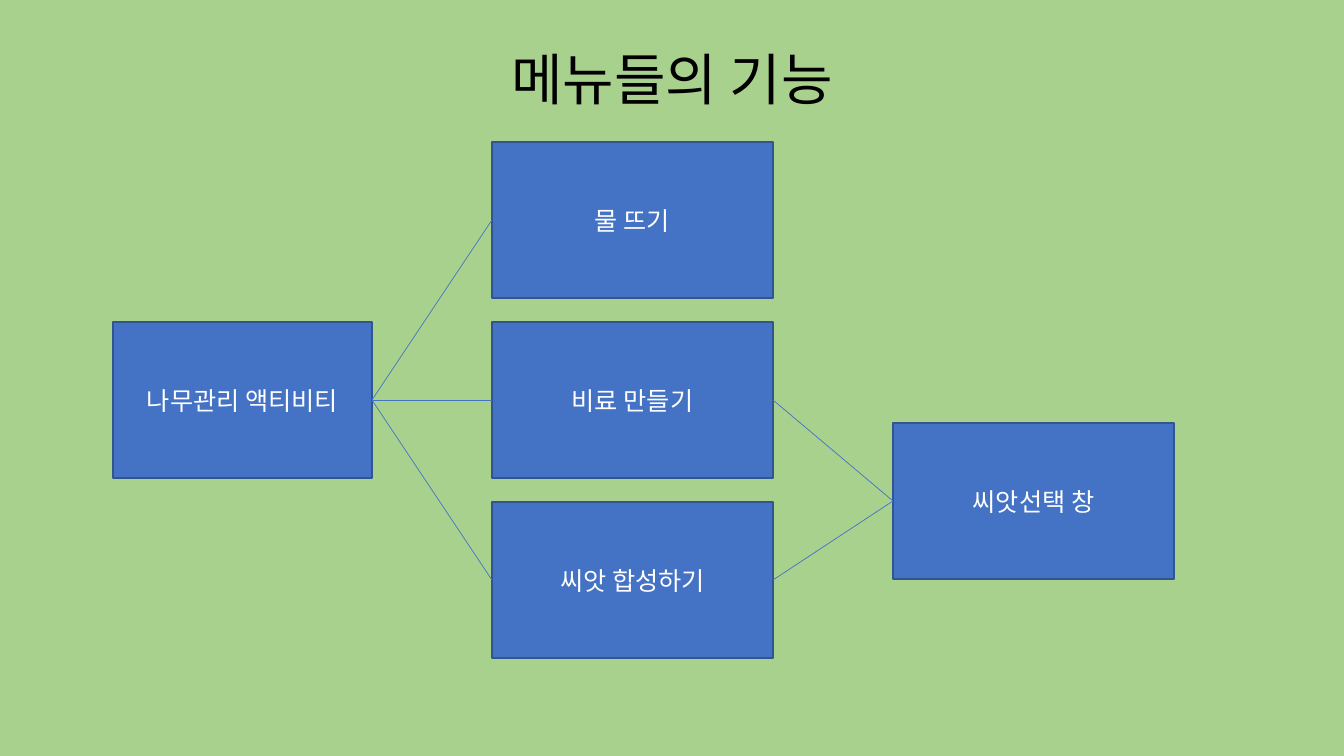
from lxml import etree
from pptx import Presentation
from pptx import util as u
from pptx.dml.color import RGBColor
from pptx.enum import shapes, text
from pptx.oxml.ns import qn

PX = 914400 / 100.8
FONT = "Noto Sans CJK KR"
COLORS = {"background": "A9D18E", "box": "4472C4", "border": "325491",
          "title": "000000", "label": "FFFFFF"}


def px(*lengths):
    return [u.Emu(round(length * PX)) for length in lengths]


def write(box, words, size, color, anchor, spacing=1.0):
    frame = box.text_frame
    frame.word_wrap = True
    frame.vertical_anchor = anchor
    para = frame.paragraphs[0]
    para.alignment = text.PP_ALIGN.CENTER
    para.line_spacing = spacing
    span = para.add_run()
    span.text = words
    span.font.size = u.Pt(size)
    span.font.name = FONT
    span.font.color.rgb = RGBColor.from_string(COLORS[color])
    # Hangul takes the East Asian typeface
    etree.SubElement(span._r.get_or_add_rPr(), qn("a:ea"), typeface=FONT)


deck = Presentation()
deck.slide_width, deck.slide_height = px(1344, 756)
page = deck.slides.add_slide(deck.slide_layouts[6])
page.background.fill.solid()
page.background.fill.fore_color.rgb = RGBColor.from_string(COLORS["background"])

# Title
title = page.shapes.add_textbox(*px(0, 0, 1344, 118))
write(title, "메뉴들의 기능", 40, "title", text.MSO_ANCHOR.BOTTOM, spacing=0.9)

# Boxes: the activity, its three menus, and the window they open
MENU_TOP, MENU_STEP, BOX_HEIGHT = 142, 180, 156
menus = ["물 뜨기", "비료 만들기", "씨앗 합성하기"]
activity, window = "나무관리 액티비티", "씨앗선택 창"
places = {activity: (113, MENU_TOP + MENU_STEP, 259), window: (893, 423, 281)}
for row, menu in enumerate(menus):
    places[menu] = (492, MENU_TOP + row * MENU_STEP, 281)

boxes = {}
for label, (left, top, width) in places.items():
    box = page.shapes.add_shape(shapes.MSO_SHAPE.RECTANGLE,
                                *px(left, top, width, BOX_HEIGHT))
    box.shadow.inherit = False
    box.fill.solid()
    box.fill.fore_color.rgb = RGBColor.from_string(COLORS["box"])
    box.line.color.rgb = RGBColor.from_string(COLORS["border"])
    box.line.width = u.Pt(1)
    write(box, label, 18, "label", text.MSO_ANCHOR.MIDDLE)
    boxes[label] = box

# Links from the right side of one box to the left side of the next
LEFT_SIDE, RIGHT_SIDE = 1, 3
links = [(activity, menu) for menu in menus] + [(menu, window) for menu in menus[1:]]
for source, target in links:
    link = page.shapes.add_connector(shapes.MSO_CONNECTOR.STRAIGHT, 0, 0, 0, 0)
    link.begin_connect(boxes[source], RIGHT_SIDE)
    link.end_connect(boxes[target], LEFT_SIDE)
    link.line.color.rgb = RGBColor.from_string(COLORS["box"])
    link.line.width = u.Pt(0.5)
    etree.SubElement(link._element.spPr, qn("a:effectLst"))

deck.save("out.pptx")
